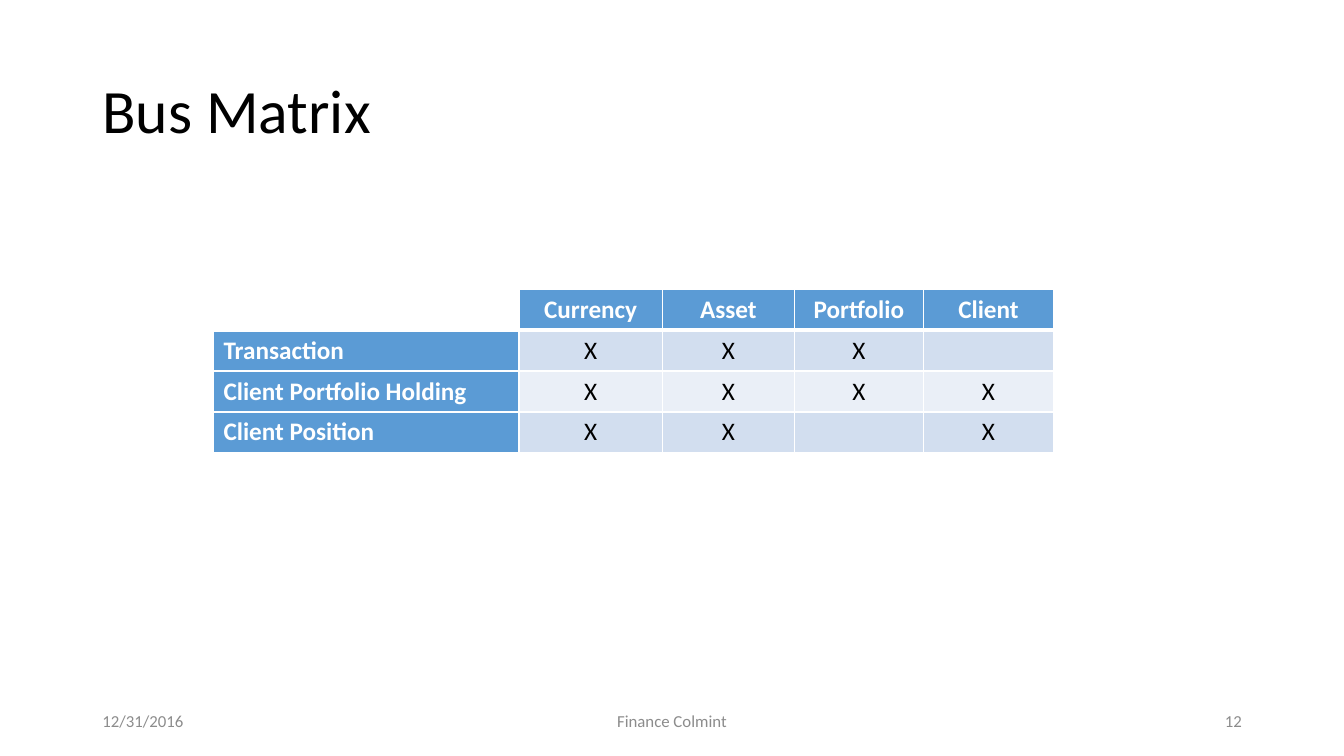
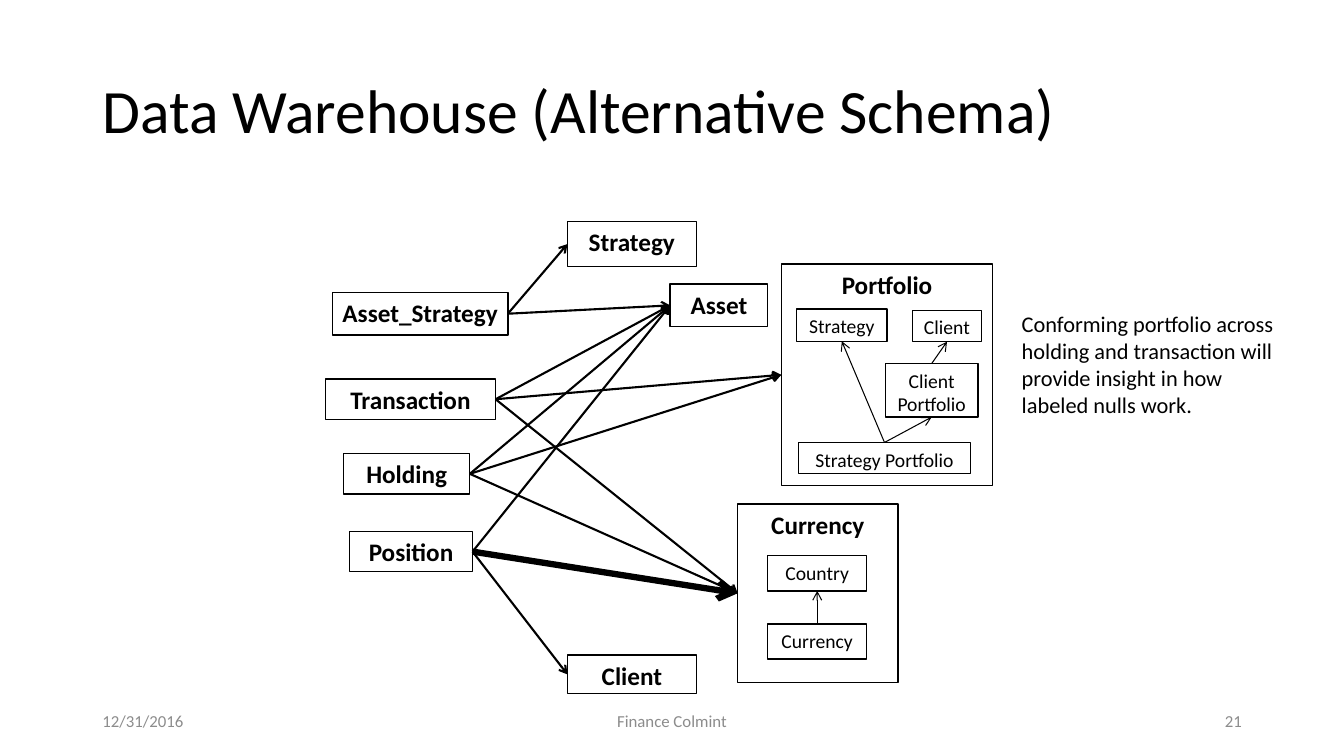
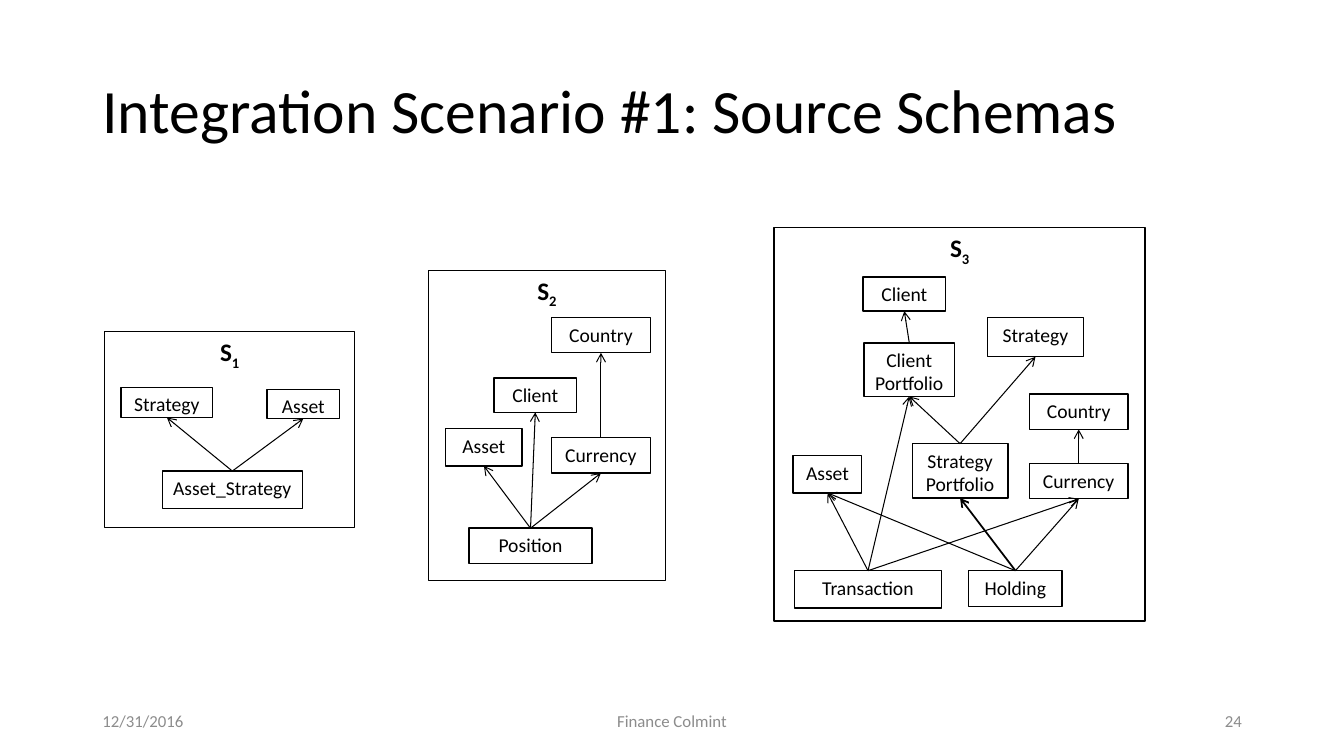
from dataclasses import dataclass

from lxml import etree
from pptx import Presentation
from pptx.dml import color
from pptx.enum import shapes, text
from pptx.oxml import ns
from pptx.util import Cm, Pt

FONT = "Calibri"
BLACK, WHITE, GREY = "000000", "FFFFFF", "8C8C8C"
BLUE, BAND_DARK, BAND_LIGHT = "5B9BD5", "D2DEEF", "EAEFF7"
LEFT, CENTER, RIGHT = text.PP_ALIGN.LEFT, text.PP_ALIGN.CENTER, text.PP_ALIGN.RIGHT
SITE_TOP, SITE_LEFT, SITE_BOTTOM, SITE_RIGHT = range(4)
UPWARD = (SITE_TOP, SITE_BOTTOM)
RIGHTWARD = (SITE_RIGHT, SITE_LEFT)


@dataclass
class Panel:
    """A framed schema; node boxes are measured from the frame's corner."""
    title: str
    box: tuple
    nodes: dict
    links: list
    subscript: str = ""


def rgb(value):
    """Turn a hex string into a colour."""
    return color.RGBColor.from_string(value)


def lengths(box):
    """Turn a box of centimetres into lengths."""
    return [Cm(value) for value in box]


def shift(box, origin):
    """Move a box by the corner of the region that holds it."""
    left, top, width, height = box
    return origin[0] + left, origin[1] + top, width, height


def add_span(para, words, size, tint=BLACK, bold=False):
    """Add one formatted run to a paragraph."""
    span = para.add_run()
    span.text = words
    span.font.name, span.font.size, span.font.bold = FONT, Pt(size), bold
    span.font.color.rgb = rgb(tint)
    return span


def add_label(page, box, words, size, tint=BLACK, align=LEFT,
              anchor=text.MSO_ANCHOR.TOP):
    """Add a text box with a single paragraph."""
    frame = page.shapes.add_textbox(*lengths(box)).text_frame
    frame.word_wrap, frame.vertical_anchor = True, anchor
    frame.paragraphs[0].alignment = align
    add_span(frame.paragraphs[0], words, size, tint)


def add_page(deck, title, number):
    """Add a slide with the shared title style and footer."""
    page = deck.slides.add_slide(deck.slide_layouts.get_by_name("Title Only"))
    heading = page.shapes.title
    heading.left, heading.top, heading.width, heading.height = lengths(
        (2.33, 1.01, 29.21, 3.68))
    frame = heading.text_frame
    frame.word_wrap, frame.auto_size = True, text.MSO_AUTO_SIZE.NONE
    frame.vertical_anchor = text.MSO_ANCHOR.MIDDLE
    para = frame.paragraphs[0]
    para.alignment, para.line_spacing = LEFT, 0.9
    add_span(para, title, 44)
    for left, width, words, align in ((2.33, 7.62, "12/31/2016", LEFT),
                                      (11.22, 11.43, "Finance Colmint", CENTER),
                                      (23.93, 7.62, str(number), RIGHT)):
        add_label(page, (left, 17.65, width, 1.02), words, 12, GREY, align,
                  text.MSO_ANCHOR.MIDDLE)
    return page


def add_node(page, box, label, size, bold, subscript=""):
    """Add an outlined box with its label at the top."""
    node = page.shapes.add_shape(shapes.MSO_SHAPE.RECTANGLE, *lengths(box))
    node.shadow.inherit = False
    node.fill.background()
    node.line.color.rgb, node.line.width = rgb(BLACK), Pt(1)
    frame = node.text_frame
    frame.word_wrap, frame.vertical_anchor = True, text.MSO_ANCHOR.TOP
    frame.margin_left = frame.margin_right = Cm(0.1)
    for index, words in enumerate(label.split("\n")):
        para = frame.add_paragraph() if index else frame.paragraphs[0]
        para.alignment = CENTER
        add_span(para, words, size, bold=bold)
    if subscript:
        span = add_span(para, subscript, size, bold=bold)
        span.font._element.set("baseline", "-25000")
    return node


def add_arrow(page, source, target, sites, weight):
    """Glue an open arrow from one node to another."""
    arrow = page.shapes.add_connector(shapes.MSO_CONNECTOR.STRAIGHT, 0, 0, 0, 0)
    arrow.begin_connect(source, sites[0])
    arrow.end_connect(target, sites[1])
    arrow.line.color.rgb, arrow.line.width = rgb(BLACK), Pt(weight)
    properties = arrow.element.spPr
    line = properties.find(ns.qn("a:ln"))
    etree.SubElement(line, ns.qn("a:tailEnd"), type="arrow")
    etree.SubElement(properties, ns.qn("a:effectLst"))


def add_links(page, nodes, links, sites, weight):
    """Draw the links; a third item in a link is its own line weight."""
    for source, target, *own in links:
        add_arrow(page, nodes[source], nodes[target], sites,
                  own[0] if own else weight)


def add_panel(page, panel):
    """Draw a framed schema and return its frame."""
    frame = add_node(page, panel.box, panel.title, 18, True, panel.subscript)
    nodes = {label: add_node(page, shift(box, panel.box), label, 14, False)
             for label, box in panel.nodes.items()}
    add_links(page, nodes, panel.links, UPWARD, 0.75)
    return frame


def set_cell(cell, words, fill, tint, bold, align, bottom):
    """Fill one table cell and give it white borders."""
    cell.fill.solid()
    cell.fill.fore_color.rgb = rgb(fill)
    para = cell.text_frame.paragraphs[0]
    para.alignment, para.font.size = align, Pt(18)
    if words:
        add_span(para, words, 18, tint, bold)
    properties = cell._tc.get_or_add_tcPr()
    for index, side in enumerate("LRTB"):
        width = Pt(bottom if side == "B" else 1)
        border = etree.Element(ns.qn(f"a:ln{side}"), w=str(int(width)))
        paint = etree.SubElement(border, ns.qn("a:solidFill"))
        etree.SubElement(paint, ns.qn("a:srgbClr"), val=WHITE)
        properties.insert(index, border)


def add_matrix(page, left, top, widths, row_height, rows):
    """Draw a table with a header row, a header column and banded marks."""
    box = (left, top, sum(widths), row_height * len(rows))
    table = page.shapes.add_table(len(rows), len(widths), *lengths(box)).table
    for column, width in zip(table.columns, widths):
        column.width = Cm(width)
    for r, row in enumerate(rows):
        table.rows[r].height = Cm(row_height)
        for c, words in enumerate(row):
            header = r == 0 or c == 0
            fill = BLUE if header else BAND_DARK if r % 2 else BAND_LIGHT
            if r == c == 0:
                fill = WHITE
            set_cell(table.cell(r, c), words, fill, WHITE if header else BLACK,
                     header, CENTER if c else LEFT, 1 if r else 3)


def matrix_page(deck):
    """Build the bus matrix slide."""
    page = add_page(deck, "Bus Matrix", 12)
    add_matrix(page, 5.38, 7.29, (7.7, 3.61, 3.33, 3.25, 3.28), 1.03, (
        ("", "Currency", "Asset", "Portfolio", "Client"),
        ("Transaction", "X", "X", "X", ""),
        ("Client Portfolio Holding", "X", "X", "X", "X"),
        ("Client Position", "X", "X", "", "X")))


def warehouse_page(deck):
    """Build the alternative schema: facts at left, dimensions at right."""
    page = add_page(deck, "Data Warehouse (Alternative Schema)", 21)
    region = (8.2, 5.59)
    tables = {
        "Strategy": (6.1, 0, 3.25, 1.12),
        "Asset": (8.69, 1.57, 2.46, 1.07),
        "Asset_Strategy": (0.18, 1.78, 4.42, 1.07),
        "Transaction": (0, 3.96, 4.29, 1.02),
        "Holding": (0.46, 5.84, 3.18, 1.02),
        "Position": (0.61, 7.8, 3.1, 1.02),
        "Client": (6.1, 10.92, 3.25, 0.97)}
    nodes = {label: add_node(page, shift(box, region), label, 18, True)
             for label, box in tables.items()}
    panels = (
        Panel("Portfolio", (19.69, 6.65, 5.33, 5.59), {
            "Client": (3.3, 1.17, 1.75, 0.79),
            "Strategy": (0.38, 1.14, 2.29, 0.81),
            "Client Portfolio": (2.62, 2.51, 2.34, 1.35),
            "Strategy Portfolio": (0.43, 4.5, 4.34, 0.79)},
            [("Client Portfolio", "Client"),
             ("Strategy Portfolio", "Strategy"),
             ("Strategy Portfolio", "Client Portfolio")]),
        Panel("Currency", (18.59, 12.7, 4.04, 4.5), {
            "Country": (0.76, 1.3, 2.49, 0.89),
            "Currency": (0.76, 3.02, 2.49, 0.89)},
            [("Currency", "Country")]))
    for panel in panels:
        nodes[panel.title] = add_panel(page, panel)
    links = [("Asset_Strategy", "Strategy"), ("Asset_Strategy", "Asset"),
             ("Position", "Asset"), ("Position", "Client"),
             ("Position", "Currency", 4.5)]
    links += [(fact, dimension) for fact in ("Transaction", "Holding")
              for dimension in ("Asset", "Portfolio", "Currency")]
    add_links(page, nodes, links, RIGHTWARD, 1.5)
    add_label(page, (25.5, 7.7, 7.29, 3),
              "Conforming portfolio across holding and transaction will "
              "provide insight in how labeled nulls work.", 16)


def sources_page(deck):
    """Build the slide with the three source schemas."""
    page = add_page(deck, "Integration Scenario #1: Source Schemas", 24)
    panels = (
        Panel("S", (2.64, 8.36, 6.3, 4.93), {
            "Strategy": (0.41, 1.4, 2.31, 0.76),
            "Asset": (4.09, 1.45, 1.83, 0.74),
            "Asset_Strategy": (1.45, 3.51, 3.53, 0.94)},
            [("Asset_Strategy", "Strategy"), ("Asset_Strategy", "Asset")], "1"),
        Panel("S", (10.8, 6.81, 5.97, 7.82), {
            "Country": (3.1, 1.19, 2.49, 0.89),
            "Client": (1.65, 2.72, 2.08, 0.86),
            "Asset": (0.43, 3.99, 1.93, 0.94),
            "Currency": (3.1, 4.22, 2.49, 0.89),
            "Position": (1.02, 6.5, 3.1, 0.89)},
            [("Position", "Client"), ("Position", "Asset"),
             ("Position", "Currency"), ("Currency", "Country")], "2"),
        Panel("S", (19.51, 5.74, 9.35, 9.91), {
            "Client": (2.24, 1.24, 2.08, 0.86),
            "Strategy": (5.38, 2.26, 2.41, 0.99),
            "Client Portfolio": (2.26, 2.9, 2.29, 1.35),
            "Country": (6.43, 4.19, 2.49, 0.89),
            "Strategy\nPortfolio": (3.48, 5.44, 2.41, 1.37),
            "Asset": (0.48, 5.74, 1.73, 0.94),
            "Currency": (6.43, 5.94, 2.49, 0.89),
            "Transaction": (0.51, 8.64, 3.71, 0.94),
            "Holding": (4.9, 8.64, 2.36, 0.91)},
            [("Client Portfolio", "Client"),
             ("Strategy\nPortfolio", "Client Portfolio"),
             ("Strategy\nPortfolio", "Strategy"),
             ("Currency", "Country"),
             ("Transaction", "Client Portfolio"),
             ("Transaction", "Asset"), ("Transaction", "Currency"),
             ("Holding", "Asset"), ("Holding", "Currency"),
             ("Holding", "Strategy\nPortfolio", 1.25)], "3"))
    for panel in panels:
        add_panel(page, panel)


def main():
    """Build and save the deck."""
    deck = Presentation()
    deck.slide_width, deck.slide_height = Cm(33.87), Cm(19.05)
    for build in (matrix_page, warehouse_page, sources_page):
        build(deck)
    deck.save("out.pptx")


main()
